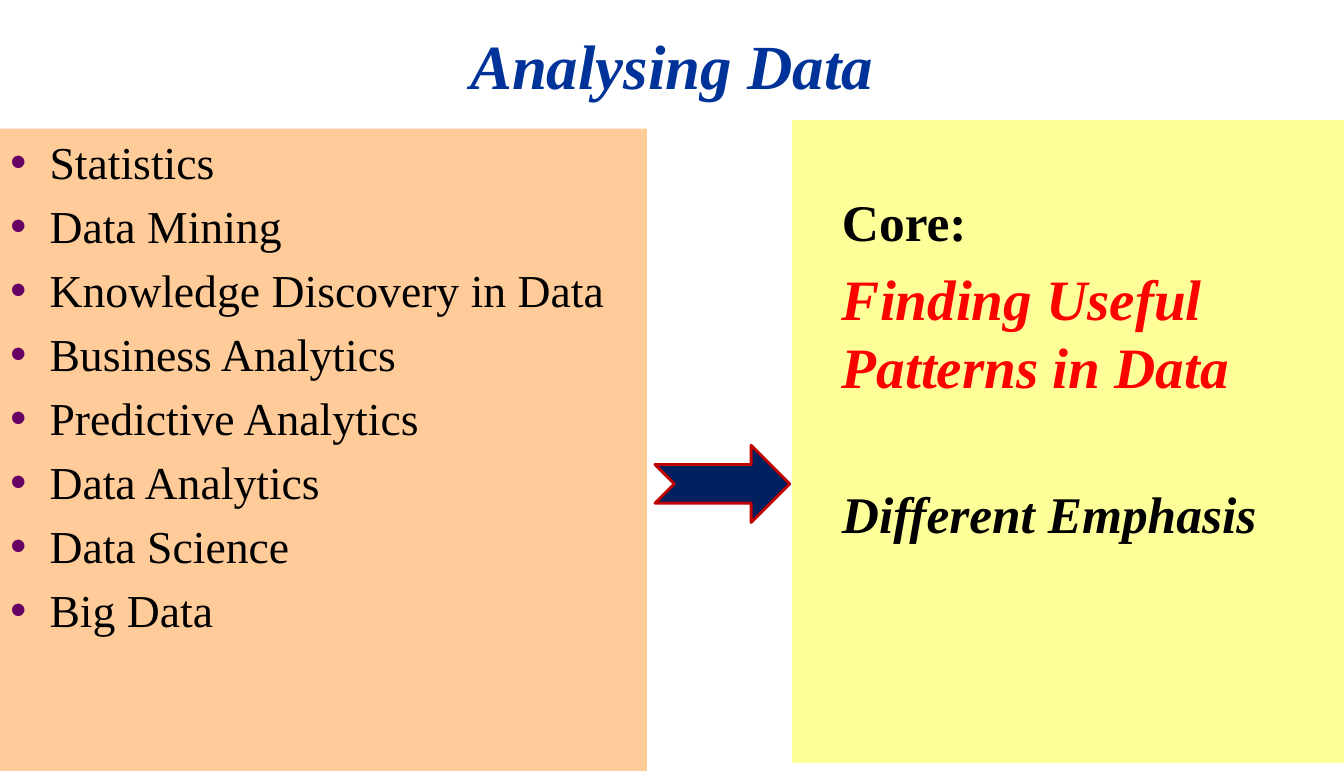
from lxml import etree
from pptx import Presentation
from pptx.dml.color import RGBColor
from pptx.enum import shapes, text
from pptx.oxml import ns
from pptx.util import Cm, Pt

FONT = "Times New Roman"
COLOURS = {
    "white": "FFFFFF", "title": "003399", "peach": "FFCC99", "yellow": "FFFF99",
    "black": "000000", "red": "FF0000", "bullet": "660066",
    "arrow": "002060", "outline": "C00000",
}
PAGE_WIDTH, PAGE_HEIGHT = 33.2, 19.05
TITLE_HEIGHT = 3.18
TOPICS = [
    "Statistics", "Data Mining", "Knowledge Discovery in Data",
    "Business Analytics", "Predictive Analytics", "Data Analytics",
    "Data Science", "Big Data",
]
# wording, size, colour, italic, space before
MESSAGES = [
    ("Core:", 36, "black", False, 0),
    ("Finding Useful Patterns in Data", 40, "red", True, 8),
    ("Different Emphasis", 36, "black", True, 57.6),
]


def colour(name):
    return RGBColor.from_string(COLOURS[name])


def paint(shape, name):
    shape.fill.solid()
    shape.fill.fore_color.rgb = colour(name)


def place(shape, left, top, width, height):
    shape.left, shape.top = Cm(left), Cm(top)
    shape.width, shape.height = Cm(width), Cm(height)


def write(para, wording, size, ink, bold=False, italic=False, before=0):
    para.text = wording
    para.line_spacing = Pt(1.2 * size)
    para.space_before = Pt(before)
    for span in para.runs:
        font = span.font
        font.name, font.size = FONT, Pt(size)
        font.bold, font.italic = bold, italic
        font.color.rgb = colour(ink)


def add_bullet(para):
    properties = para._p.get_or_add_pPr()
    properties.set("marL", str(Cm(0.97)))
    properties.set("indent", str(-Cm(0.97)))
    tint = etree.SubElement(properties, ns.qn("a:buClr"))
    etree.SubElement(tint, ns.qn("a:srgbClr"), val=COLOURS["bullet"])
    etree.SubElement(properties, ns.qn("a:buChar"), char="•")


def paragraphs(frame, count):
    """Return the first paragraph of the frame and enough new ones."""
    return [frame.paragraphs[0]] + [frame.add_paragraph() for _ in range(count - 1)]


def fill_title(page):
    title = page.shapes.title
    place(title, 0, 0, PAGE_WIDTH, TITLE_HEIGHT)
    paint(title, "white")
    frame = title.text_frame
    frame.auto_size = text.MSO_AUTO_SIZE.NONE
    frame.vertical_anchor = text.MSO_ANCHOR.MIDDLE
    para = frame.paragraphs[0]
    write(para, "Analysing Data", 44, "title", bold=True, italic=True)
    para.alignment = text.PP_ALIGN.CENTER


def fill_topics(page):
    body = page.placeholders[1]
    place(body, 0, TITLE_HEIGHT, 15.98, PAGE_HEIGHT - TITLE_HEIGHT)
    paint(body, "peach")
    frame = body.text_frame
    frame.auto_size = text.MSO_AUTO_SIZE.NONE
    for index, para in enumerate(paragraphs(frame, len(TOPICS))):
        add_bullet(para)
        write(para, TOPICS[index], 32, "black", before=6.4 if index else 0)


def add_messages(page):
    left = 19.56
    box = page.shapes.add_textbox(Cm(left), Cm(2.97), Cm(PAGE_WIDTH - left), Cm(15.88))
    paint(box, "yellow")
    frame = box.text_frame
    frame.word_wrap = True
    frame.margin_left, frame.margin_top = Cm(1.24), Cm(1.73)
    for para, message in zip(paragraphs(frame, len(MESSAGES)), MESSAGES):
        wording, size, ink, italic, before = message
        write(para, wording, size, ink, bold=True, italic=italic, before=before)


def add_arrow(page):
    arrow = page.shapes.add_shape(
        shapes.MSO_SHAPE.NOTCHED_RIGHT_ARROW, Cm(16.18), Cm(11), Cm(3.33), Cm(1.91))
    arrow.shadow.inherit = False
    paint(arrow, "arrow")
    arrow.line.color.rgb = colour("outline")
    arrow.line.width = Pt(2)


def main():
    deck = Presentation()
    deck.slide_width, deck.slide_height = Cm(PAGE_WIDTH), Cm(PAGE_HEIGHT)
    page = deck.slides.add_slide(deck.slide_layouts[1])
    fill_title(page)
    fill_topics(page)
    add_messages(page)
    add_arrow(page)
    deck.save("out.pptx")


if __name__ == "__main__":
    main()
